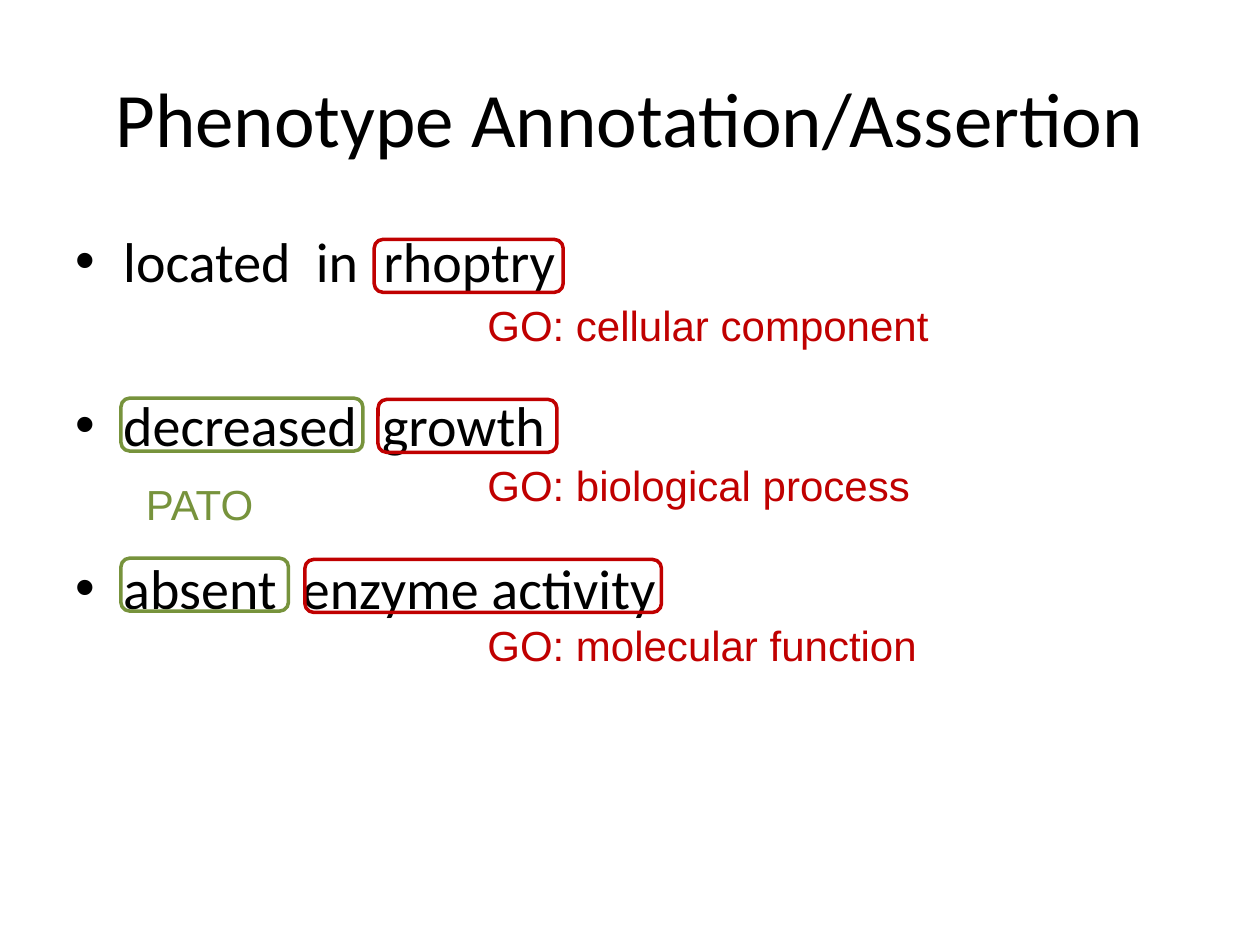
from lxml import etree
from pptx import Presentation
from pptx.dml.color import RGBColor as RGB
from pptx.enum.shapes import MSO_SHAPE as Shape
from pptx.enum.text import MSO_ANCHOR as Anchor, PP_ALIGN as Align
from pptx.oxml.ns import qn
from pptx.util import Inches, Pt

HUES = {"ink": "000000", "red": "C00000", "green": "77933C"}


def add_text(left, top, width, height, lines, size, face, hue, wrap=True):
    box = slide.shapes.add_textbox(
        Inches(left), Inches(top), Inches(width), Inches(height))
    frame = box.text_frame
    frame.text = "\n".join(lines)
    frame.word_wrap = wrap
    for para in frame.paragraphs:
        for run in para.runs:
            run.font.size = Pt(size)
            run.font.name = face
            run.font.color.rgb = RGB.from_string(HUES[hue])
    return frame


def add_ring(left, top, width, hue):
    ring = slide.shapes.add_shape(
        Shape.ROUNDED_RECTANGLE, Inches(left), Inches(top), Inches(width), Inches(0.42))
    ring.shadow.inherit = False
    ring.fill.background()
    ring.line.color.rgb = RGB.from_string(HUES[hue])
    ring.line.width = Pt(2)


deck = Presentation()
deck.slide_width = Inches(10)
deck.slide_height = Inches(7.5)
slide = deck.slides.add_slide(deck.slide_layouts[6])

title = add_text(0.5, 0.3, 9, 1.25, ["Phenotype Annotation/Assertion"], 44, "Calibri", "ink")
title.vertical_anchor = Anchor.MIDDLE
title.paragraphs[0].alignment = Align.CENTER

terms = ["located  in  rhoptry", "decreased  growth", "absent  enzyme activity"]
body = add_text(0.5, 1.75, 9, 4.95, terms, 32, "Calibri", "ink")
for row, para in enumerate(body.paragraphs):
    props = para._p.get_or_add_pPr()
    props.set("marL", str(Inches(0.38)))
    props.set("indent", str(Inches(-0.38)))
    etree.SubElement(props, qn("a:buFont")).set("typeface", "Arial")
    etree.SubElement(props, qn("a:buChar")).set("char", "•")
    if row:
        para.space_before = Pt(55)

step = 1.27
parts = [
    (2.97, 1.5, "cellular component"),
    (3, 1.42, "biological process"),
    (2.42, 2.83, "molecular function"),
]
for row, (left, width, name) in enumerate(parts):
    add_ring(left, 1.9 + row * step, width, "red")
    add_text(3.77, 2.33 + row * step, 3.7, 0.5, [f"GO: {name}"], 24, "Arial", "red", False)

for row, width in enumerate([1.92, 1.33]):
    add_ring(0.96, 3.16 + row * step, width, "green")
add_text(1.06, 3.75, 1.11, 0.5, ["PATO"], 24, "Arial", "green", False)

deck.save("out.pptx")
